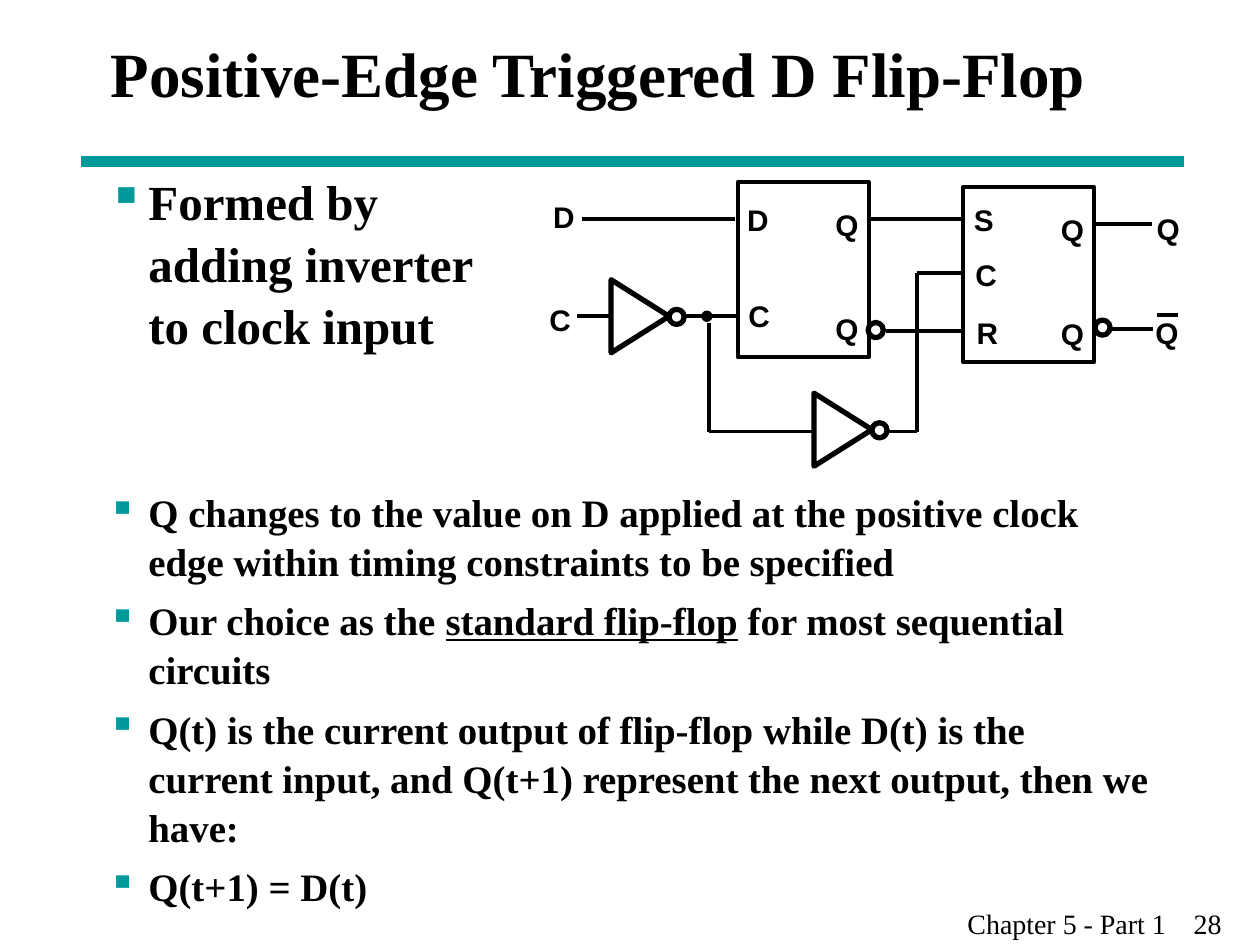
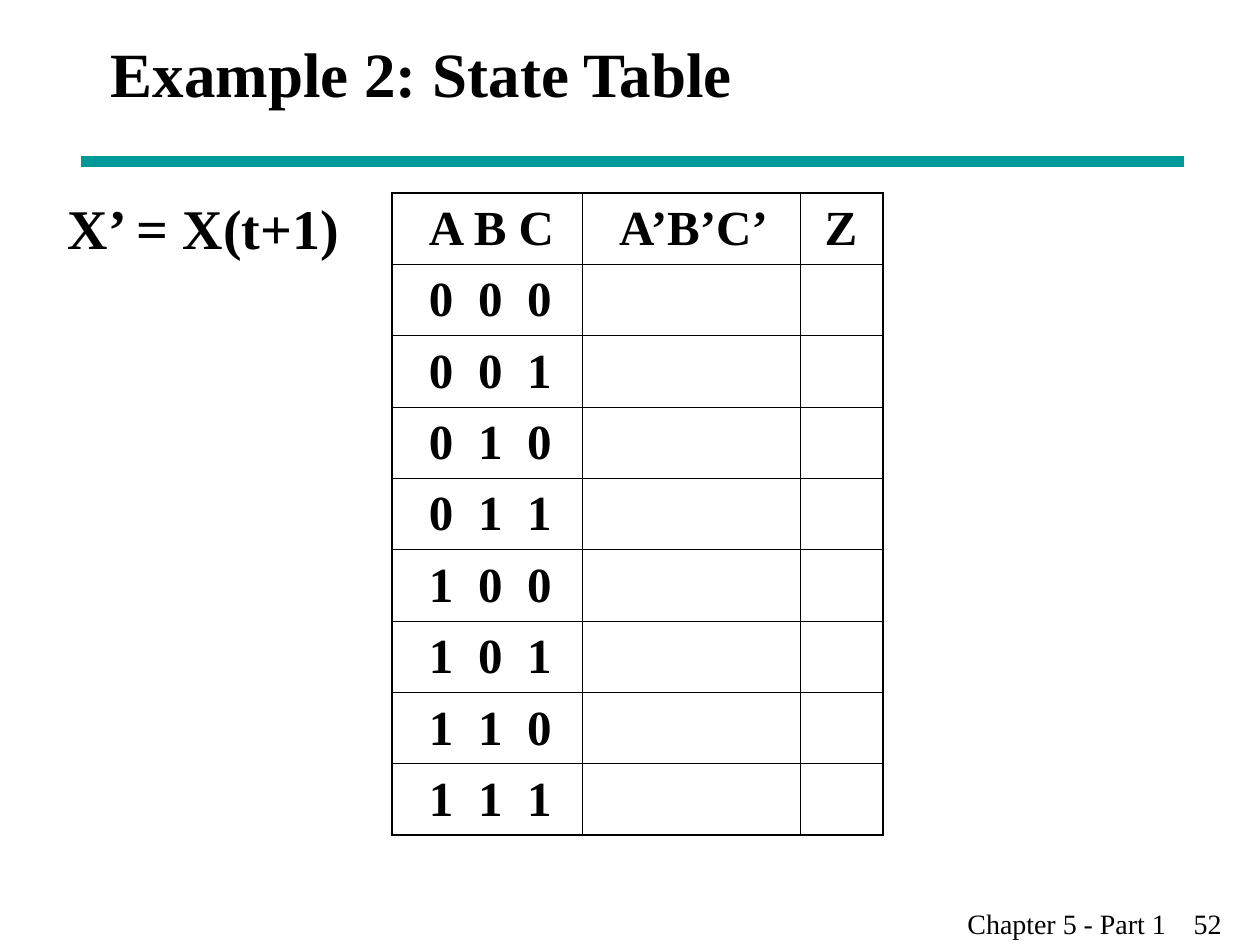
"""Two lecture slides on flip-flops: a circuit diagram and a state table."""
from dataclasses import dataclass
from itertools import product

from lxml import etree
from pptx import Presentation
from pptx.dml.color import RGBColor
from pptx.enum.shapes import MSO_CONNECTOR, MSO_SHAPE
from pptx.enum.text import MSO_ANCHOR, MSO_AUTO_SIZE, PP_ALIGN
from pptx.oxml.ns import qn
from pptx.util import Emu, Inches, Pt

STRAIGHT = MSO_CONNECTOR.STRAIGHT
RECTANGLE = MSO_SHAPE.RECTANGLE
TRIANGLE = MSO_SHAPE.ISOSCELES_TRIANGLE
ELLIPSE = MSO_SHAPE.OVAL
TOP, MIDDLE = MSO_ANCHOR.TOP, MSO_ANCHOR.MIDDLE
LEFT = PP_ALIGN.LEFT
NO_AUTOFIT = MSO_AUTO_SIZE.NONE
TITLE_ONLY = 5

# The page grid: 100 columns by 75 rows of square cells.
SLIDE_WIDTH, SLIDE_HEIGHT = Inches(10), Inches(7.5)
COLUMN, ROW = SLIDE_WIDTH / 100, SLIDE_HEIGHT / 75


@dataclass(frozen=True)
class Theme:
    """Colours, fonts, type sizes and line widths in points."""
    ink: str = "000000"
    accent: str = "009999"
    serif: str = "Times New Roman"
    sans: str = "Arial"
    title: float = 36
    note: float = 32
    lead: float = 28
    body: float = 22.2
    label: float = 17
    footer: float = 16
    leading: float = 1.05
    rule: float = 6
    wire: float = 2.24
    gate: float = 3
    frame: float = 1.08
    hairline: float = 0.45


THEME = Theme()


@dataclass(frozen=True)
class Area:
    """A rectangle in columns and rows."""
    left: float
    top: float
    width: float
    height: float

    def lengths(self) -> tuple[Emu, ...]:
        """Left, top, width and height as slide lengths."""
        return (Emu(round(self.left * COLUMN)), Emu(round(self.top * ROW)),
                Emu(round(self.width * COLUMN)), Emu(round(self.height * ROW)))


@dataclass(frozen=True)
class Span:
    """A stretch of text, underlined or not."""
    text: str
    underline: bool = False


@dataclass(frozen=True)
class Wire:
    """Straight segments through a list of grid points."""
    points: tuple[tuple[float, float], ...]


@dataclass(frozen=True)
class Label:
    """A letter of the circuit at its left and top."""
    text: str
    left: float
    top: float


def colour(value: str) -> RGBColor:
    """Turn a hexadecimal value into a colour."""
    return RGBColor.from_string(value)


def add_bullet(para) -> None:
    """Give a paragraph the accent square bullet with a hanging indent."""
    properties = para._p.get_or_add_pPr()
    indent = Inches(0.32)
    properties.set("marL", str(indent))
    properties.set("indent", str(-indent))
    tint = etree.SubElement(properties, qn("a:buClr"))
    etree.SubElement(tint, qn("a:srgbClr"), val=THEME.accent)
    etree.SubElement(properties, qn("a:buChar"), char="▪")


def add_tab_stops(para, stops: tuple[float, ...]) -> None:
    """Set left tab stops, given in columns."""
    tabs = etree.SubElement(para._p.get_or_add_pPr(), qn("a:tabLst"))
    for stop in stops:
        etree.SubElement(tabs, qn("a:tab"), pos=str(round(stop * COLUMN)), algn="l")


def write(frame, *paragraphs, size: float, font: str = THEME.serif, bold: bool = True,
          before: float = 0, bullet: bool = False, stops: tuple[float, ...] = ()) -> None:
    """Fill a text frame; a paragraph is a string or a tuple of spans."""
    for index, content in enumerate(paragraphs):
        para = frame.add_paragraph() if index else frame.paragraphs[0]
        para.alignment = LEFT
        para.line_spacing = THEME.leading
        para.space_before = Pt(before)
        if bullet:
            add_bullet(para)
        if stops:
            add_tab_stops(para, stops)
        spans = (Span(content),) if isinstance(content, str) else content
        for span in spans:
            for number, line in enumerate(span.text.split("\n")):
                if number:
                    para.add_line_break()
                run = para.add_run()
                run.text = line
                run.font.name, run.font.size, run.font.bold = font, Pt(size), bold
                run.font.color.rgb = colour(THEME.ink)
                if span.underline:
                    run.font.underline = True


def set_frame(frame, anchor=TOP, wrap: bool = True, inset: bool = True) -> None:
    """Set wrapping, anchor and insets of a text frame."""
    frame.auto_size = NO_AUTOFIT
    frame.word_wrap = wrap
    frame.vertical_anchor = anchor
    frame.margin_left = frame.margin_right = Inches(0.1 if inset else 0)
    frame.margin_top = frame.margin_bottom = Inches(0.05 if inset else 0)


def add_text(page, area: Area, *paragraphs, wrap: bool = True, inset: bool = True,
             **text_format) -> None:
    """Place a text box and write into it."""
    box = page.shapes.add_textbox(*area.lengths())
    set_frame(box.text_frame, wrap=wrap, inset=inset)
    write(box.text_frame, *paragraphs, **text_format)


def add_line(page, start: tuple[float, float], end: tuple[float, float],
             width: float = THEME.wire, tint: str = THEME.ink) -> None:
    """Draw one straight line between grid points."""
    ends = [Emu(round(value)) for x, y in (start, end) for value in (x * COLUMN, y * ROW)]
    line = page.shapes.add_connector(STRAIGHT, *ends)
    line.line.width = Pt(width)
    line.line.color.rgb = colour(tint)
    etree.SubElement(line._element.spPr, qn("a:effectLst"))


def add_outline(page, kind, area: Area, width: float, filled: bool = False):
    """Draw an outlined preset shape, hollow unless filled."""
    shape = page.shapes.add_shape(kind, *area.lengths())
    shape.shadow.inherit = False
    shape.line.width = Pt(width)
    shape.line.color.rgb = colour(THEME.ink)
    if filled:
        shape.fill.solid()
        shape.fill.fore_color.rgb = colour(THEME.ink)
    else:
        shape.fill.background()
    return shape


def add_bubble(page, left: float, top: float) -> None:
    """Draw the small circle that marks inversion."""
    add_outline(page, ELLIPSE, Area(left, top, 1.2, 1.2), THEME.gate)


def add_inverter(page, left: float, top: float) -> None:
    """Draw a right-pointing triangle with its bubble."""
    gate = add_outline(page, TRIANGLE, Area(left, top, 5.8, 4.6), THEME.gate)
    gate.rotation = 90
    add_bubble(page, left + 5.2, top + 1.75)


def add_page(deck, title: str, number: int):
    """Add a slide with title, accent rule and footer."""
    page = deck.slides.add_slide(deck.slide_layouts[TITLE_ONLY])
    add_line(page, (6.4, 12.8), (94, 12.8), THEME.rule, THEME.accent)
    add_text(page, Area(75.8, 71.3, 24.2, 3.7), f"Chapter 5 - Part 1\t{number}",
             size=THEME.footer, bold=False, stops=(17.95,))
    heading = page.shapes.title
    heading.left, heading.top, heading.width, heading.height = Area(7.8, 0, 85, 11.2).lengths()
    set_frame(heading.text_frame, anchor=MIDDLE)
    write(heading.text_frame, title, size=THEME.title)
    return page


def draw_circuit(page) -> None:
    """Draw the two latches, the inverters, the wires and the labels."""
    for left, top in ((58.55, 14.45), (76.45, 14.85)):
        add_outline(page, RECTANGLE, Area(left, top, 10.4, 13.9), THEME.wire)
    wires = (
        Wire(((46.2, 17.35), (58.3, 17.35))),
        Wire(((68.8, 17.35), (76.4, 17.35))),
        Wire(((86.9, 17.75), (91.4, 17.75))),
        Wire(((45.8, 25.1), (48.6, 25.1))),
        Wire(((54.2, 25.1), (58.5, 25.1))),
        Wire(((56.3, 25.6), (56.3, 34.25), (64.7, 34.25))),
        Wire(((70.5, 34.25), (72.75, 34.25), (72.75, 21.65), (76.4, 21.65))),
        Wire(((70.3, 26.25), (76.4, 26.25))),
        Wire(((88.2, 26.1), (91.5, 26.1))),
        Wire(((91.8, 25), (93.5, 25))),
    )
    for wire in wires:
        for start, end in zip(wire.points, wire.points[1:]):
            add_line(page, start, end)
    for left, top in ((47.9, 22.8), (64, 31.8)):
        add_inverter(page, left, top)
    for left, top in ((68.9, 25.6), (86.9, 25.4)):
        add_bubble(page, left, top)
    add_outline(page, ELLIPSE, Area(55.7, 24.7, 0.8, 0.8), 0.74, filled=True)
    labels = (
        Label("D", 43.9, 15.6), Label("C", 43.6, 23.8),
        Label("D", 59.3, 15.9), Label("C", 59.4, 23.5),
        Label("Q", 66.3, 16.3), Label("Q", 66.3, 24.5),
        Label("S", 77.3, 15.9), Label("C", 77.4, 20.2), Label("R", 77.5, 24.8),
        Label("Q", 84.2, 16.7), Label("Q", 84.2, 24.9),
        Label("Q", 91.8, 16.6), Label("Q", 91.7, 24.8),
    )
    for label in labels:
        add_text(page, Area(label.left, label.top, 1.9, 2.8), label.text, size=THEME.label,
                 font=THEME.sans, wrap=False, inset=False)


def set_borders(cell, widths: dict[str, float]) -> None:
    """Draw the cell's borders; keys are the sides L, R, T and B."""
    properties = cell._tc.get_or_add_tcPr()
    for side, width in widths.items():
        border = etree.SubElement(properties, qn(f"a:ln{side}"), w=str(Pt(width)))
        fill = etree.SubElement(border, qn("a:solidFill"))
        etree.SubElement(fill, qn("a:srgbClr"), val=THEME.ink)


def draw_state_table(page) -> None:
    """Draw the table of all states, with next state and output left open."""
    states = ["\t".join(bits) for bits in product("01", repeat=3)]
    rows = [("A B C", "A’B’C’", "Z")] + [(state, "", "") for state in states]
    columns, indents = (15.1, 17.3, 6.6), (2.95, 2.95, 1.95)
    area = Area(31.1, 15.3, sum(columns), 51)
    table = page.shapes.add_table(len(rows), len(columns), *area.lengths()).table
    table.first_row = table.horz_banding = False
    for column, width in zip(table.columns, columns):
        column.width = Emu(round(width * COLUMN))
    last_row, last_column = len(rows) - 1, len(columns) - 1
    for r, values in enumerate(rows):
        for c, value in enumerate(values):
            cell = table.cell(r, c)
            outer = {"L": c == 0, "R": c == last_column, "T": r == 0, "B": r == last_row}
            set_borders(cell, {side: THEME.frame if edge else THEME.hairline
                               for side, edge in outer.items()})
            cell.fill.background()
            cell.margin_left = Emu(round(indents[c] * COLUMN))
            cell.margin_right = 0
            if value:
                write(cell.text_frame, value, size=THEME.lead,
                      stops=(3.89, 7.78) if "\t" in value else ())


def build_flip_flop_page(deck) -> None:
    """Build the slide on the D flip-flop."""
    page = add_page(deck, "Positive-Edge Triggered D Flip-Flop", 28)
    add_text(page, Area(7.6, 38.1, 85, 30),
             "Q changes to the value on D applied at the positive clock edge within "
             "timing constraints to be specified",
             (Span("Our choice as the "), Span("standard flip-flop", underline=True),
              Span(" for most sequential circuits")),
             "Q(t) is the current output of flip-flop while D(t) is the current input, "
             "and Q(t+1) represent the next output, then we have:",
             "Q(t+1) = D(t)",
             size=THEME.body, before=6, bullet=True)
    draw_circuit(page)
    add_text(page, Area(7.6, 12.9, 35.5, 21.2), "Formed by\nadding inverter\nto clock input",
             size=THEME.lead, before=7, bullet=True)


def build_state_table_page(deck) -> None:
    """Build the slide with the state table."""
    page = add_page(deck, "Example 2: State Table", 52)
    draw_state_table(page)
    add_text(page, Area(4.4, 14.6, 25.4, 6.4), "X’ = X(t+1)", size=THEME.note)


deck = Presentation()
deck.slide_width, deck.slide_height = SLIDE_WIDTH, SLIDE_HEIGHT
build_flip_flop_page(deck)
build_state_table_page(deck)
deck.save("out.pptx")
